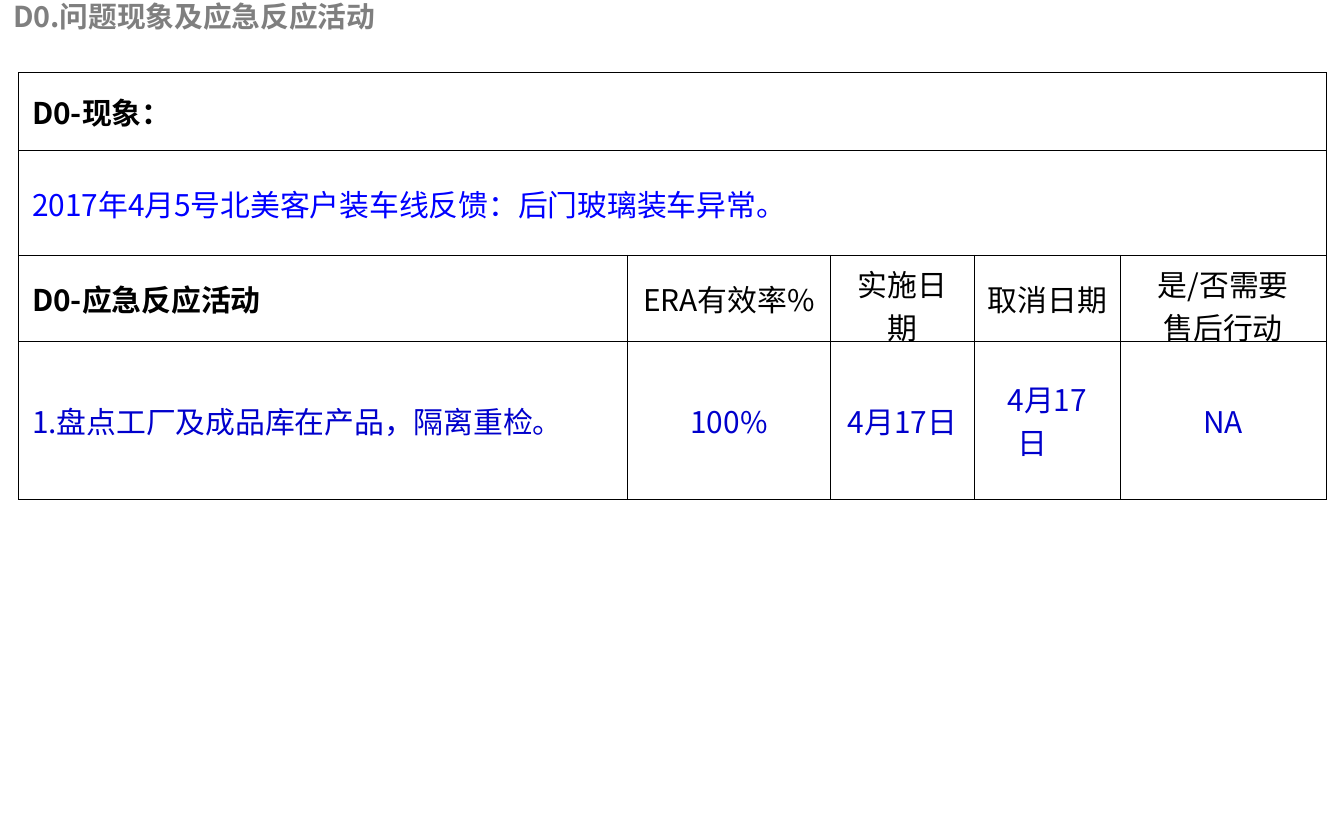
from dataclasses import dataclass

from lxml import etree
from pptx import Presentation
from pptx.dml.color import RGBColor
from pptx.enum import text
from pptx.oxml import ns
from pptx.util import Pt

FONT = "Noto Sans CJK SC"
BLACK = RGBColor(0x00, 0x00, 0x00)
GREY = RGBColor(0x7F, 0x7F, 0x7F)
BLUE = RGBColor(0x00, 0x00, 0xFF)
DARK_BLUE = RGBColor(0x00, 0x00, 0xCC)

COLUMNS = (326.2, 108.7, 77.1, 78.3, 110.2)
ROWS = (42, 56, 46, 85)


@dataclass
class Entry:
    lines: tuple[str, ...]
    color: RGBColor = BLACK
    bold: bool = False
    centered: bool = True


# One list per table row; a single entry spans the full width
ENTRIES = [
    [Entry(("D0-现象：",), bold=True, centered=False)],
    [Entry(("2017年4月5号北美客户装车线反馈：后门玻璃装车异常。",), BLUE, centered=False)],
    [
        Entry(("D0-应急反应活动",), bold=True, centered=False),
        Entry(("ERA有效率%",)),
        Entry(("实施日期",)),
        Entry(("取消日期",)),
        Entry(("是/否需要", "售后行动")),
    ],
    [
        Entry(("1.盘点工厂及成品库在产品，隔离重检。",), DARK_BLUE, centered=False),
        Entry(("100%",), DARK_BLUE),
        Entry(("4月17日",), DARK_BLUE),
        Entry(("4月17日　",), DARK_BLUE),
        Entry(("NA",), DARK_BLUE),
    ],
]


def add_run(p, content: str, size: float, color: RGBColor, bold: bool) -> None:
    r = p.add_run()
    r.text = content
    r.font.size = Pt(size)
    r.font.bold = bold
    r.font.color.rgb = color
    r.font.name = FONT
    latin = r.font._element.find(ns.qn("a:latin"))
    ea = etree.Element(ns.qn("a:ea"), typeface=FONT)
    latin.addnext(ea)


def style_cell(cell) -> None:
    """Clear the fill and draw a thin black border on every side."""
    cell.fill.background()
    tc_pr = cell._tc.get_or_add_tcPr()
    for i, side in enumerate(("lnL", "lnR", "lnT", "lnB")):
        ln = etree.Element(ns.qn(f"a:{side}"), w=str(Pt(0.45)))
        fill = etree.SubElement(ln, ns.qn("a:solidFill"))
        etree.SubElement(fill, ns.qn("a:srgbClr"), val=str(BLACK))
        tc_pr.insert(i, ln)


def fill_cell(cell, entry: Entry) -> None:
    cell.vertical_anchor = text.MSO_ANCHOR.MIDDLE
    tf = cell.text_frame
    for i, line in enumerate(entry.lines):
        p = tf.add_paragraph() if i else tf.paragraphs[0]
        p.alignment = text.PP_ALIGN.CENTER if entry.centered else text.PP_ALIGN.LEFT
        add_run(p, line, 16, entry.color, entry.bold)


def add_title(s) -> None:
    tf = s.shapes.add_textbox(Pt(0), Pt(-0.7), Pt(558.7), Pt(28.8)).text_frame
    tf.word_wrap = True
    p = tf.paragraphs[0]
    p.line_spacing = 0.8
    add_run(p, "D0.问题现象及应急反应活动", 15.4, GREY, True)


def add_report_table(s) -> None:
    frame = s.shapes.add_table(
        len(ROWS), len(COLUMNS), Pt(10), Pt(38.8), Pt(sum(COLUMNS)), Pt(sum(ROWS))
    )
    table = frame.table
    table.first_row = table.horz_banding = False
    for column, width in zip(table.columns, COLUMNS):
        column.width = Pt(width)
    for row, height in zip(table.rows, ROWS):
        row.height = Pt(height)
    for cell in table.iter_cells():
        style_cell(cell)
    for i, entries in enumerate(ENTRIES):
        if len(entries) == 1:
            table.cell(i, 0).merge(table.cell(i, len(COLUMNS) - 1))
        for j, entry in enumerate(entries):
            fill_cell(table.cell(i, j), entry)


def main() -> None:
    prs = Presentation()
    prs.slide_width, prs.slide_height = Pt(720), Pt(450)
    s = prs.slides.add_slide(prs.slide_layouts[6])
    add_title(s)
    add_report_table(s)
    prs.save("out.pptx")


if __name__ == "__main__":
    main()
